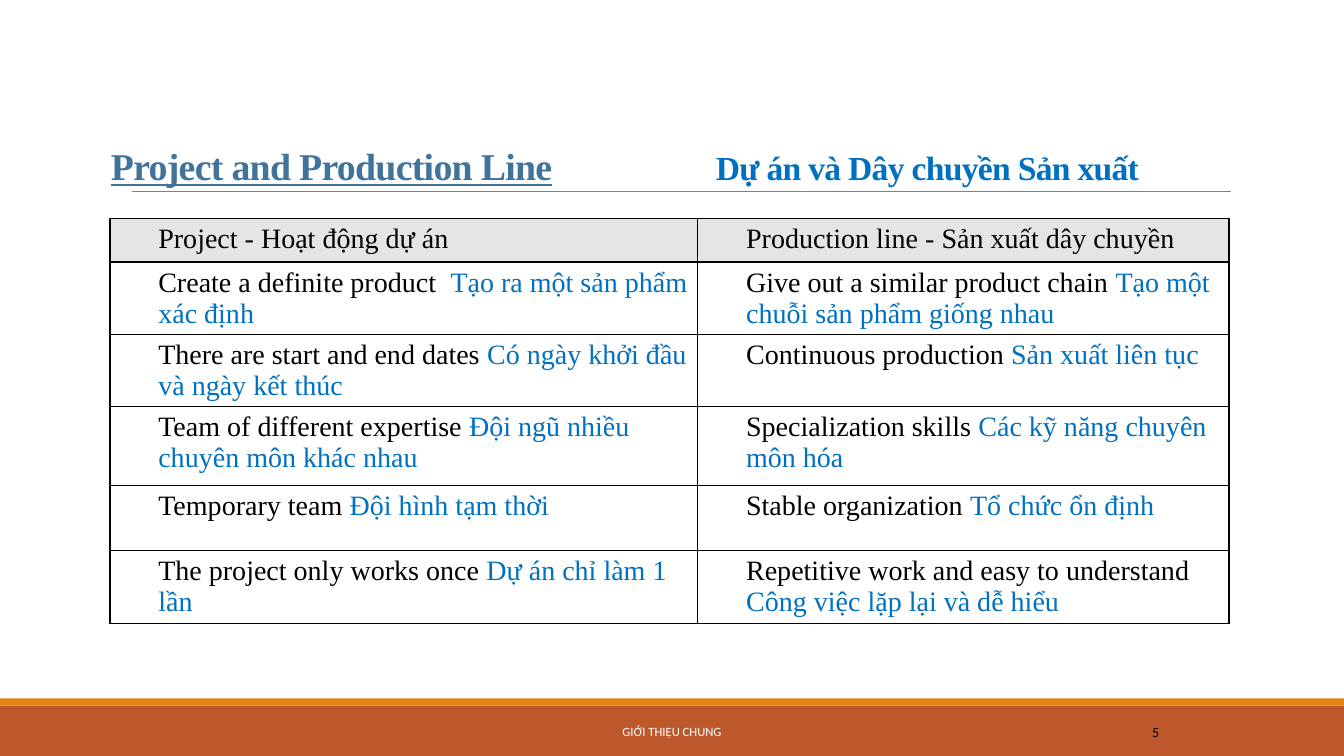
from lxml.etree import SubElement
from pptx import Presentation
from pptx.dml.color import RGBColor
from pptx.enum.shapes import MSO_CONNECTOR, MSO_SHAPE
from pptx.enum.text import MSO_ANCHOR, PP_ALIGN
from pptx.oxml.ns import qn
from pptx.util import Inches, Pt

COLORS = {
    "black": "000000", "white": "FFFFFF", "blue": "0070C0", "title": "40749B",
    "header": "E5E5E5", "rule": "808080", "rust": "BD582C", "orange": "E48312",
}
SERIF, SANS = "Times New Roman", "Calibri"

TITLE = ("Project and Production Line", "Dự án và Dây chuyền Sản xuất")
HEADERS = ("Project - Hoạt động dự án", "Production line - Sản xuất dây chuyền")
COMPARISONS = [
    (("Create a definite product  ", "Tạo ra một sản phẩm xác định"),
     ("Give out a similar product chain ", "Tạo một chuỗi sản phẩm giống nhau")),
    (("There are start and end dates ", "Có ngày khởi đầu và ngày kết thúc"),
     ("Continuous production ", "Sản xuất liên tục")),
    (("Team of different expertise ", "Đội ngũ nhiều chuyên môn khác nhau"),
     ("Specialization skills ", "Các kỹ năng chuyên môn hóa")),
    (("Temporary team ", "Đội hình tạm thời"),
     ("Stable organization ", "Tổ chức ổn định")),
    (("The project only works once ", "Dự án chỉ làm 1 lần"),
     ("Repetitive work and easy to understand ", "Công việc lặp lại và dễ hiểu")),
]
FOOTER, PAGE_NUMBER = "GIỚI THIỆU CHUNG", "5"

COLUMN_WIDTHS = (5.83, 5.27)
ROW_HEIGHTS = (0.43, 0.71, 0.71, 0.78, 0.65, 0.72)
TABLE_LEFT, TABLE_TOP = 1.09, 2.17
BANDS = [(7, 0.5, "rust"), (6.93, 0.07, "orange")]


def rgb(name):
    return RGBColor.from_string(COLORS[name])


def add_run(paragraph, text, color, size, name=SERIF, **formats):
    run = paragraph.add_run()
    run.text = text
    run.font.color.rgb = rgb(color)
    for attribute, value in {"size": Pt(size), "name": name, **formats}.items():
        setattr(run.font, attribute, value)
    return run


def set_indent(paragraph, inches):
    properties = paragraph._p.get_or_add_pPr()
    properties.set("marL", str(Inches(inches)))
    properties.set("indent", "0")


def add_bands(slide, width):
    for top, height, color in BANDS:
        band = slide.shapes.add_shape(
            MSO_SHAPE.RECTANGLE, 0, Inches(top), width, Inches(height))
        band.shadow.inherit = False
        band.fill.solid()
        band.fill.fore_color.rgb = rgb(color)
        band.line.fill.background()


def add_title_rule(slide):
    rule = slide.shapes.add_connector(
        MSO_CONNECTOR.STRAIGHT, Inches(1.31), Inches(1.9), Inches(12.21), Inches(1.9))
    rule.line.color.rgb = rgb("rule")
    rule.line.width = Pt(0.5)
    SubElement(rule._element.spPr, qn("a:effectLst"))


def fill_title(title):
    title.left, title.top, title.width, title.height = map(
        Inches, (1, 0.67, 11.78, 1.25))
    frame = title.text_frame
    frame.vertical_anchor = MSO_ANCHOR.BOTTOM
    frame.word_wrap = True
    paragraph = frame.paragraphs[0]
    paragraph.alignment = PP_ALIGN.LEFT
    paragraph.line_spacing = 0.85
    tabs = SubElement(paragraph._p.get_or_add_pPr(), qn("a:tabLst"))
    SubElement(tabs, qn("a:tab"), pos=str(Inches(6)), algn="l")
    english, vietnamese = TITLE
    runs = [
        add_run(paragraph, english, "title", 27, bold=True, underline=True),
        add_run(paragraph, "\t" + vietnamese, "blue", 24, bold=True, underline=False),
    ]
    for run in runs:
        run._r.get_or_add_rPr().set("spc", "-50")


def add_borders(cell):
    properties = cell._tc.get_or_add_tcPr()
    for position, side in enumerate(("a:lnL", "a:lnR", "a:lnT", "a:lnB")):
        line = properties.makeelement(qn(side), {"w": str(Pt(1))})
        properties.insert(position, line)
        SubElement(SubElement(line, qn("a:solidFill")), qn("a:srgbClr"),
                   val=COLORS["black"])


def add_comparison_table(slide):
    rows = [[(header,) for header in HEADERS], *COMPARISONS]
    table = slide.shapes.add_table(
        len(rows), len(COLUMN_WIDTHS), Inches(TABLE_LEFT), Inches(TABLE_TOP),
        Inches(sum(COLUMN_WIDTHS)), Inches(sum(ROW_HEIGHTS))).table
    for column, width in zip(table.columns, COLUMN_WIDTHS):
        column.width = Inches(width)
    for row, height in zip(table.rows, ROW_HEIGHTS):
        row.height = Inches(height)
    for row_index, row in enumerate(rows):
        for column_index, texts in enumerate(row):
            cell = table.cell(row_index, column_index)
            cell.fill.solid()
            cell.fill.fore_color.rgb = rgb("white" if row_index else "header")
            add_borders(cell)
            paragraph = cell.text_frame.paragraphs[0]
            set_indent(paragraph, 0.38)
            for text, color in zip(texts, ("black", "blue")):
                add_run(paragraph, text, color, 20, bold=False)


def add_footer_text(slide, text, left, width, color, size, alignment, indent=0):
    box = slide.shapes.add_textbox(
        Inches(left), Inches(7.06), Inches(width), Inches(0.4))
    frame = box.text_frame
    frame.word_wrap = True
    frame.vertical_anchor = MSO_ANCHOR.MIDDLE
    paragraph = frame.paragraphs[0]
    paragraph.alignment = alignment
    set_indent(paragraph, indent)
    add_run(paragraph, text, color, size, SANS)


def main():
    presentation = Presentation()
    presentation.slide_width = Inches(13.33)
    presentation.slide_height = Inches(7.5)
    slide = presentation.slides.add_slide(presentation.slide_layouts[5])
    add_bands(slide, presentation.slide_width)
    add_title_rule(slide)
    fill_title(slide.shapes.title)
    add_comparison_table(slide)
    add_footer_text(slide, PAGE_NUMBER, 10.83, 1.43, "black", 10, PP_ALIGN.LEFT, 0.5)
    add_footer_text(slide, FOOTER, 4.03, 5.27, "white", 9, PP_ALIGN.CENTER)
    presentation.save("out.pptx")


if __name__ == "__main__":
    main()
